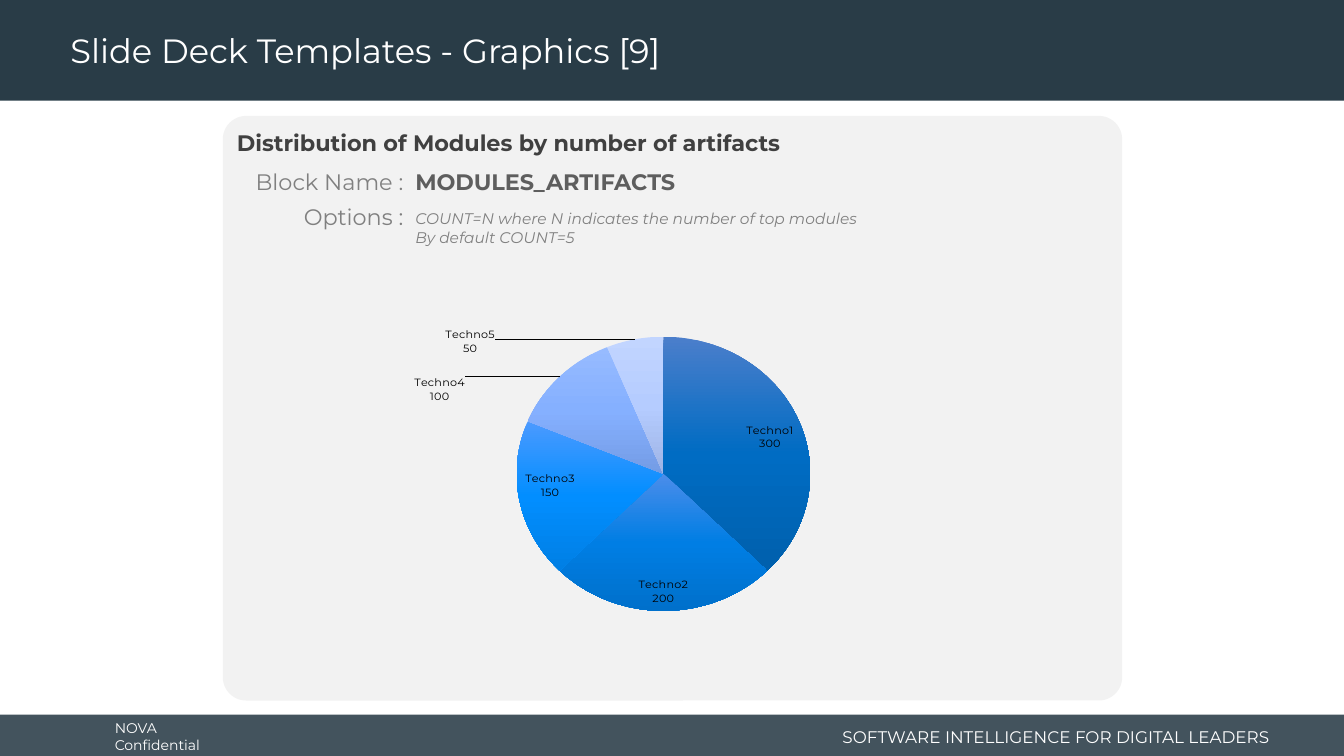
import copy

import lxml.etree
import pptx
import pptx.chart.data
import pptx.dml.color
import pptx.enum.chart
import pptx.enum.shapes
import pptx.enum.text
import pptx.oxml
import pptx.oxml.ns
import pptx.util

Inches = pptx.util.Inches
Pt = pptx.util.Pt
RGBColor = pptx.dml.color.RGBColor
Shape = pptx.enum.shapes.MSO_SHAPE
Align = pptx.enum.text.PP_ALIGN
Anchor = pptx.enum.text.MSO_ANCHOR
Spot = pptx.enum.chart.XL_LABEL_POSITION
qn = pptx.oxml.ns.qn

FONT = "Montserrat"
NAVY = RGBColor(0x29, 0x3C, 0x47)
WHITE = RGBColor(0xFF, 0xFF, 0xFF)
BLACK = RGBColor(0, 0, 0)
PALE = RGBColor(0xF2, 0xF2, 0xF2)
DARK = RGBColor(0x40, 0x40, 0x40)
SLATE = RGBColor(0x5E, 0x5E, 0x5E)
GRAY = RGBColor(0x80, 0x80, 0x80)
BLUES = [
    (RGBColor(0x4B, 0x7E, 0xCB), RGBColor(0x00, 0x6C, 0xC3), RGBColor(0x00, 0x60, 0xAD)),
    (RGBColor(0x4B, 0x8D, 0xEA), RGBColor(0x00, 0x7E, 0xE4), RGBColor(0x00, 0x70, 0xCB)),
    (RGBColor(0x4B, 0x9A, 0xFF), RGBColor(0x02, 0x8E, 0xFF), RGBColor(0x00, 0x7F, 0xE4)),
    (RGBColor(0x97, 0xBB, 0xFF), RGBColor(0x85, 0xB0, 0xFF), RGBColor(0x74, 0x9C, 0xE5)),
    (RGBColor(0xC2, 0xD5, 0xFF), RGBColor(0xB5, 0xCC, 0xFF), RGBColor(0x9E, 0xB4, 0xE5)),
]

deck = pptx.Presentation()
deck.slide_width = Inches(13.33)
deck.slide_height = Inches(7.5)
slide = deck.slides.add_slide(deck.slide_layouts[6])


def write(text, left, top, width, height, size=16, color=GRAY, bold=False,
          italic=False, align=Align.LEFT, anchor=Anchor.TOP, wrap=True,
          inset=0.1, spacing=1.0):
    box = slide.shapes.add_textbox(Inches(left), Inches(top), Inches(width), Inches(height))
    frame = box.text_frame
    frame.word_wrap = wrap
    frame.vertical_anchor = anchor
    frame.margin_left = frame.margin_right = Inches(inset)
    frame.text = text
    for para in frame.paragraphs:
        para.alignment = align
        para.line_spacing = spacing
        font = para.runs[0].font
        font.name, font.size = FONT, Pt(size)
        font.bold, font.italic = bold, italic
        font.color.rgb = color


def layout(**parts):
    """Build a manual chart layout from its named settings."""
    node = pptx.oxml.parse_xml(
        '<c:layout %s><c:manualLayout/></c:layout>' % pptx.oxml.ns.nsdecls("c"))
    for name, val in parts.items():
        lxml.etree.SubElement(node[0], qn("c:" + name)).set("val", str(val))
    return node


# Bands and panel
for kind, left, top, width, height, color in [
    (Shape.RECTANGLE, 0, 7.09, 13.33, 0.41, NAVY),
    (Shape.RECTANGLE, 0, 0, 13.33, 1, NAVY),
    (Shape.ROUNDED_RECTANGLE, 2.21, 1.15, 8.92, 5.8, PALE),
]:
    panel = slide.shapes.add_shape(kind, Inches(left), Inches(top), Inches(width), Inches(height))
    panel.shadow.inherit = False
    panel.fill.solid()
    panel.fill.fore_color.rgb = color
    panel.line.fill.background()
panel.adjustments[0] = 0.04
footer = slide.shapes[0]
tint = footer.element.xpath("./p:spPr/a:solidFill/a:srgbClr")[0]
lxml.etree.SubElement(tint, qn("a:alpha")).set("val", "88000")

# Text
write("Slide Deck Templates - Graphics [9]", 0.6, 0.04, 9.58, 0.96, size=24,
      color=WHITE, anchor=Anchor.MIDDLE, spacing=0.9)
write("NOVA Confidential", 1.04, 7.11, 1.48, 0.4, size=10, color=WHITE,
      anchor=Anchor.MIDDLE, wrap=False)
write("SOFTWARE INTELLIGENCE FOR DIGITAL LEADERS", 8.11, 7.15, 4.58, 0.32,
      size=12, color=WHITE, align=Align.RIGHT, anchor=Anchor.MIDDLE)
write("Distribution of Modules by number of artifacts", 2.15, 1.23, 8.91, 0.37,
      color=DARK, bold=True, inset=0.2)
write("Block Name :", 2.43, 1.62, 1.67, 0.37, align=Align.RIGHT, wrap=False)
write("MODULES_ARTIFACTS", 4.02, 1.62, 7.25, 0.37, color=SLATE, bold=True)
write("Options :", 2.89, 1.97, 1.21, 0.37, align=Align.RIGHT, wrap=False)
write("COUNT=N where N indicates the number of top modules\nBy default COUNT=5",
      4.02, 2.03, 7.25, 0.47, size=11, italic=True)

# Pie chart
data = pptx.chart.data.CategoryChartData(number_format="#,##0")
data.categories = [f"Techno{n}" for n in range(1, 6)]
data.add_series("Series 1", (300, 200, 150, 100, 50))
chart = slide.shapes.add_chart(
    pptx.enum.chart.XL_CHART_TYPE.PIE, Inches(3.83), Inches(3.04),
    Inches(5.98), Inches(3.2), data).chart
chart.has_title = False
chart.has_legend = False
chart.font.name, chart.font.size = FONT, Pt(8)
chart.font.color.rgb = BLACK
plot = chart.plots[0]
plot.vary_by_categories = True
pie = plot.series[0]

area = chart.element.xpath(".//c:plotArea")[0]
for old in area.findall(qn("c:layout")):
    area.remove(old)
area.insert(0, layout(layoutTarget="inner", xMode="edge", yMode="edge",
                      x=0.15, y=0.03, w=0.62, h=0.91))

for n, blues in enumerate(BLUES):
    fill = pie.points[n].format.fill
    fill.gradient()
    fill.gradient_angle = 270
    stops = chart.element.xpath(".//c:dPt//a:gsLst")[-1]
    stops.append(copy.deepcopy(stops[0]))
    for stop, place, blue in zip(fill.gradient_stops, (0, 0.5, 1), blues):
        stop.position = place
        stop.color.rgb = blue

# Labels, with the two smallest slices labelled away from the pie
labels = pie.data_labels
labels.show_value = labels.show_category_name = True
labels.number_format, labels.number_format_is_linked = "#,##0", False
labels.position = Spot.INSIDE_END
labels.font.name, labels.font.size = FONT, Pt(8)
labels.font.color.rgb = BLACK
for n, x, y in [(3, -0.15, 0.1), (4, -0.23, 0.05)]:
    label = pie.points[n].data_label
    label.position = Spot.OUTSIDE_END
    label.font.name, label.font.size = FONT, Pt(8)
    label.font.color.rgb = BLACK
    node = chart.element.xpath(f".//c:dLbl[c:idx/@val='{n}']")[0]
    node.find(qn("c:idx")).addnext(layout(x=x, y=y))
    node.find(qn("c:showCatName")).set("val", "1")
for mark in chart.element.xpath(".//c:ser//c:showBubbleSize"):
    split = lxml.etree.Element(qn("c:separator"))
    split.text = "\n"
    mark.addnext(split)

deck.save("out.pptx")
